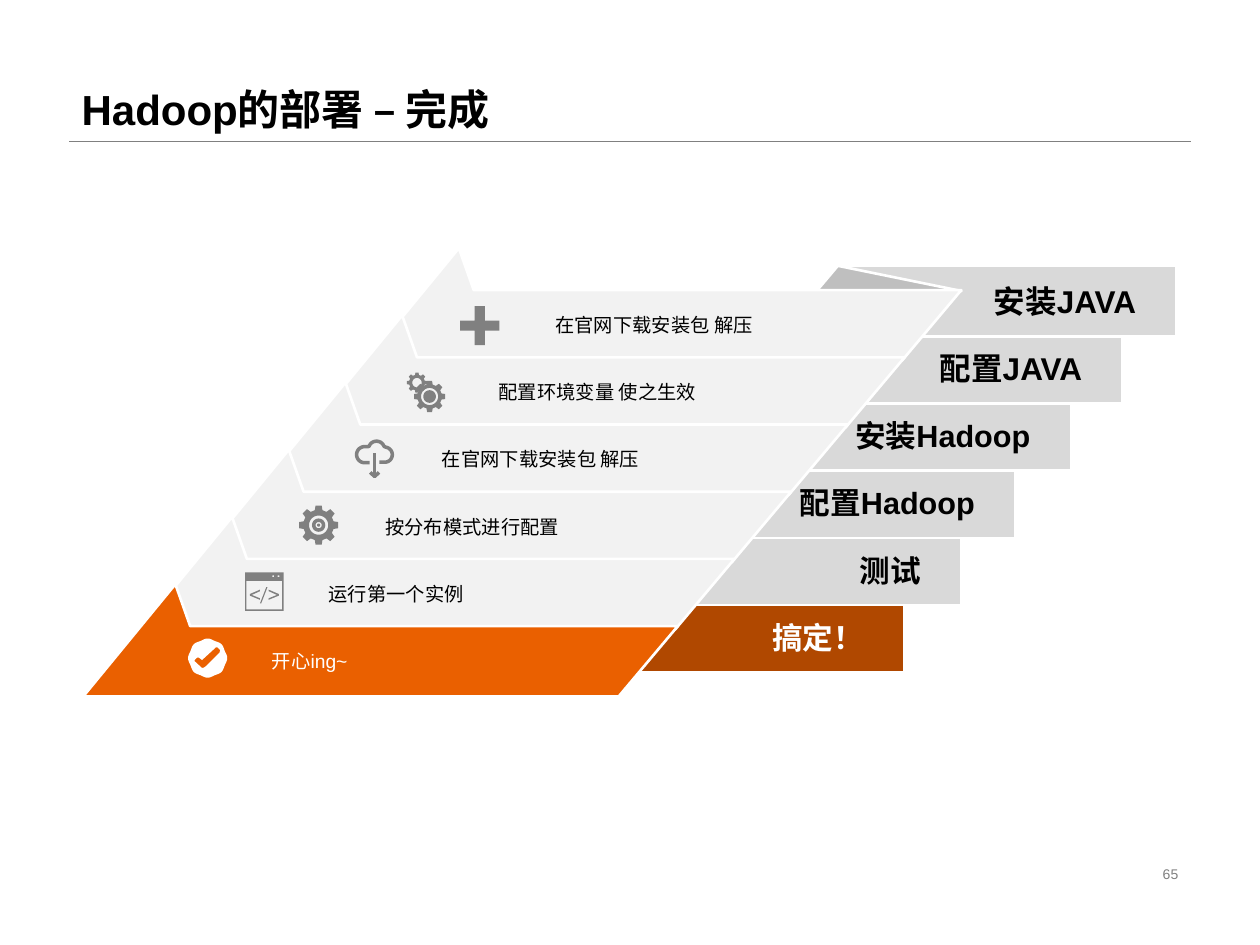
from math import cos, pi, radians, sin

from lxml import etree
from pptx import Presentation
from pptx.dml.color import RGBColor
from pptx.enum.shapes import MSO_CONNECTOR, MSO_SHAPE
from pptx.enum.text import MSO_ANCHOR, PP_ALIGN
from pptx.oxml.ns import qn
from pptx.util import Pt

COLORS = {
    "black": "000000", "white": "FFFFFF", "gray": "808080", "fold": "BFBFBF",
    "tab": "D9D9D9", "band": "F2F2F2", "orange": "EA6000", "rust": "B04800",
}
ROWS = [  # tab text, tab size, tab left, band text
    ("安装JAVA", 18, 480.2, "在官网下载安装包 解压"),
    ("配置JAVA", 18, 449.3, "配置环境变量 使之生效"),
    ("安装Hadoop", 17.5, 419.8, "在官网下载安装包 解压"),
    ("配置Hadoop", 17.5, 388.1, "按分布模式进行配置"),
    ("测试", 17.5, 357.1, "运行第一个实例"),
    ("搞定！", 17.5, 324.7, "开心ing~"),
]
LAST = len(ROWS) - 1
ROW_DX, ROW_DY = -32.4, 38.4
BAND = [(52.7, 0), (61.2, 24), (339.8, 24), (306, 64.2), (0, 64.2)]
CHEVRON = [(2.5, -1.1), (8.3, 1.4), (8.3, 2.3), (2.5, 4.7),
           (2.5, 3.8), (7.2, 1.9), (2.5, -0.2)]
CHECK = [(6.8, -3.2), (-1.1, 4.7), (-2.5, 5.6), (-3.4, 5.5), (-7.4, 1.8), (-7.4, 1.1),
         (-6, -0.3), (-5, -0.3), (-3.2, 1.1), (4.7, -6.1), (5.6, -6.1), (7.2, -4.6)]


def rgb(name):
    return RGBColor.from_string(COLORS[name])


def write(sp, text, size=11, color="black", bold=False, align=PP_ALIGN.LEFT,
          anchor=MSO_ANCHOR.TOP, spacing=None):
    tf = sp.text_frame
    tf.word_wrap = True
    tf.vertical_anchor = anchor
    p = tf.paragraphs[0]
    p.alignment = align
    p.line_spacing = spacing
    r = p.add_run()
    r.text = text
    r.font.name = "Arial"
    r.font.size = Pt(size)
    r.font.bold = bold
    r.font.color.rgb = rgb(color)


def arc(cx, cy, radius, start=0, end=360, step=10):
    return [(cx + radius * cos(radians(a)), cy + radius * sin(radians(a)))
            for a in range(start, end + 1, step)]


def rect(left, top, right, bottom):
    return [(left, top), (right, top), (right, bottom), (left, bottom)]


def gear(cx, cy, radius, teeth, rings):
    """Return a toothed outline and circles that alternate hole and solid."""
    outline = []
    for k in range(teeth):
        for offset, scale in ((-0.32, 0.78), (-0.2, 1), (0.2, 1), (0.32, 0.78)):
            a = (k + offset) * 2 * pi / teeth
            outline.append((cx + radius * scale * cos(a), cy + radius * scale * sin(a)))
    return [outline] + [arc(cx, cy, ring) for ring in rings]


class Deck:
    """Holds the shared style and the current slide; lengths are points."""
    edge = ("white", 1.5)

    def __init__(self, prs):
        self.s = prs.slides.add_slide(prs.slide_layouts[6])

    def paint(self, sp, fill, line):
        sp.shadow.inherit = False
        if fill:
            sp.fill.solid()
            sp.fill.fore_color.rgb = rgb(fill)
        else:
            sp.fill.background()
        if line:
            sp.line.color.rgb = rgb(line[0])
            sp.line.width = Pt(line[1])
        else:
            sp.line.fill.background()

    def text(self, left, top, width, height, text, **fmt):
        sp = self.s.shapes.add_textbox(Pt(left), Pt(top), Pt(width), Pt(height))
        write(sp, text, **fmt)

    def shape(self, kind, left, top, width, height, fill, line=None, adj=0):
        sp = self.s.shapes.add_shape(kind, Pt(left), Pt(top), Pt(width), Pt(height))
        sp.adjustments[0] = adj
        self.paint(sp, fill, line)
        return sp

    def outline(self, left, top, contours, fill=None, line=None):
        """Draw contours given relative to (left, top); open ones if there is no fill."""
        moved = [[(Pt(left + x), Pt(top + y)) for x, y in c] for c in contours]
        builder = self.s.shapes.build_freeform(*moved[0][0], scale=1.0)
        for i, points in enumerate(moved):
            if i:
                builder.move_to(*points[0])
            builder.add_line_segments(points[1:], close=fill is not None)
        self.paint(builder.convert_to_shape(), fill, line)

    def rule(self, x1, y1, x2, y2, color, width):
        sp = self.s.shapes.add_connector(MSO_CONNECTOR.STRAIGHT, Pt(x1), Pt(y1), Pt(x2), Pt(y2))
        sp.line.color.rgb = rgb(color)
        sp.line.width = Pt(width)
        etree.SubElement(sp._element.spPr, qn("a:effectLst"))


def add_icons(deck):
    centers = [(row[2] - 206, 186.1 + 38 * i) for i, row in enumerate(ROWS)]
    plus, gears, cloud, cog, window, badge = centers

    deck.shape(MSO_SHAPE.CROSS, plus[0] - 11.2, plus[1] - 11.2, 22.4, 22.4, "gray", adj=0.37)

    deck.outline(*gears, gear(2.2, 2.5, 9, 8, [4.9, 3.6]), "gray")
    deck.outline(*gears, gear(-5, -5.4, 5.8, 8, [2.7]), "gray")

    cloud_line = (arc(-5.4, -2.3, 4.6, 90, 280) + arc(1.4, -5.4, 4.6, 200, 340)
                  + arc(6.1, -2.3, 4.3, 280, 450))
    cloud_line = [(-2.5, 2.3)] + cloud_line + [(3, 2)]
    arrow = [[(0.3, -3), (0.3, 10)], [(-2.2, 7.8), (0.3, 10.2), (2.8, 7.8)]]
    deck.outline(*cloud, [cloud_line] + arrow, line=("gray", 2))

    deck.outline(*cog, gear(0, 0, 11.3, 8, [5.5, 3.8, 1.8, 0.9]), "gray")

    slash = [(1.1, -2.5), (1.8, -2.5), (-1.8, 6.8), (-2.5, 6.8)]
    deck.outline(*window, [
        rect(-11, -11, 11, 11), rect(-10.2, -6.1, 10.2, 10.2),
        rect(4.6, -9.2, 5.6, -8.2), rect(7.6, -9.2, 8.6, -8.2),
        CHEVRON, [(-x, y) for x, y in CHEVRON], slash], "gray")

    scallop = [(r * cos(radians(a)), r * sin(radians(a)))
               for a in range(0, 360, 5)
               for r in [10.9 + 0.3 * cos(radians(8 * a))]]
    deck.outline(*badge, [scallop, CHECK], "white")


def main():
    prs = Presentation()
    prs.slide_width, prs.slide_height = Pt(720), Pt(540)
    deck = Deck(prs)

    deck.rule(39.6, 80.6, 680.4, 80.6, "gray", 0.25)
    deck.text(39.6, 0, 640.8, 80.6, "Hadoop的部署 – 完成", size=24, bold=True,
              anchor=MSO_ANCHOR.BOTTOM, spacing=0.9)
    deck.text(508.3, 491, 172.1, 16.6, "65", size=8, color="gray",
              align=PP_ALIGN.RIGHT, anchor=MSO_ANCHOR.MIDDLE)

    for i, (label, size, left, _) in reversed(list(enumerate(ROWS))):
        tab = deck.shape(MSO_SHAPE.PARALLELOGRAM, left, 151.9 + i * ROW_DY, 192.2, 40.3,
                         "rust" if i == LAST else "tab", deck.edge)
        write(tab, label, size=size, bold=True, color="white" if i == LAST else "black",
              align=PP_ALIGN.RIGHT, anchor=MSO_ANCHOR.MIDDLE)
    deck.shape(MSO_SHAPE.ISOSCELES_TRIANGLE, 466.6, 151.9, 82.8, 14.4, "fold", deck.edge, 0.147)

    for i in range(len(ROWS)):
        deck.outline(209.5 + i * ROW_DX, 141.8 + i * ROW_DY, [BAND],
                     "orange" if i == LAST else "band", deck.edge)
    add_icons(deck)
    for i, row in enumerate(ROWS):
        deck.text(310.3 + i * ROW_DX, 172.8 + i * ROW_DY, 184.3, 28.1, row[3],
                  color="white" if i == LAST else "black", spacing=1.2)

    prs.save("out.pptx")


if __name__ == "__main__":
    main()
